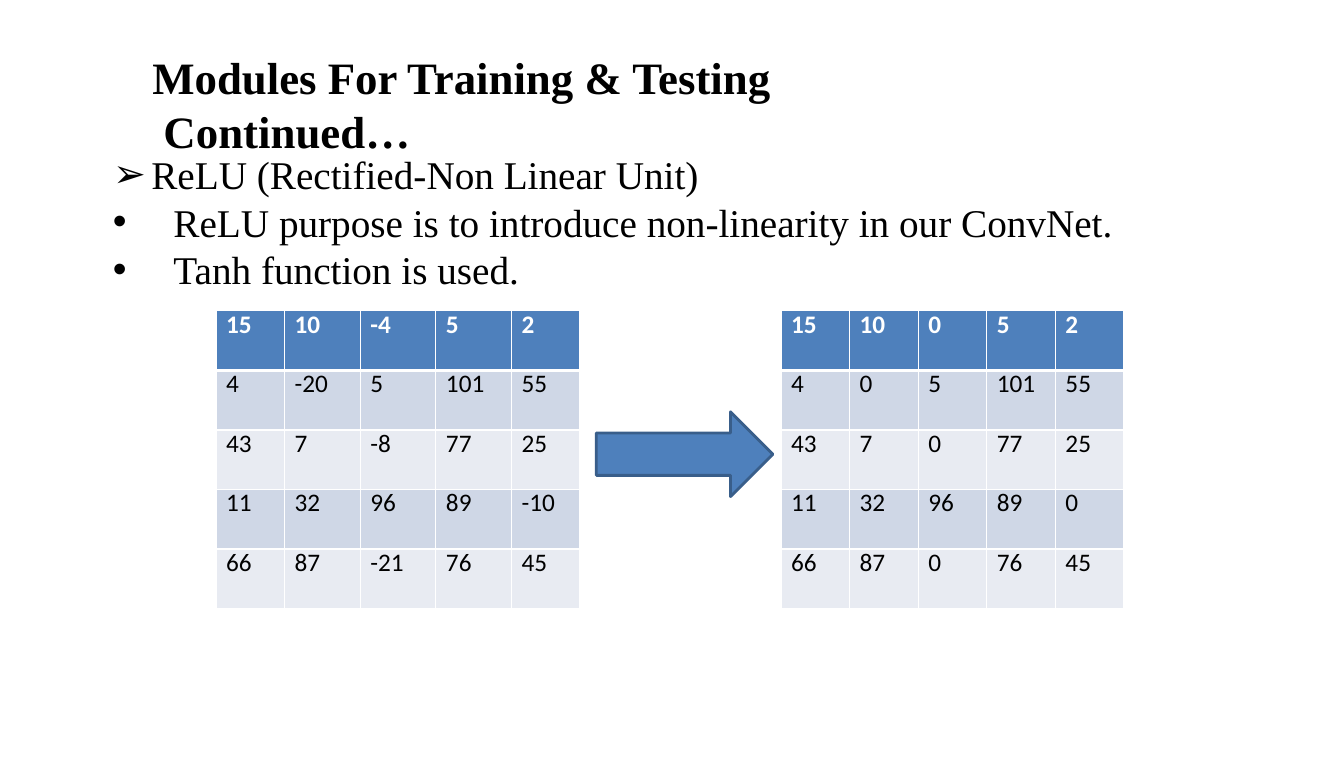
"""Build the ReLU slide: headings, two matrices and the arrow between them."""
from dataclasses import dataclass

from pptx import Presentation
from pptx import util as u
from pptx.dml.color import RGBColor
from pptx.enum import shapes
from pptx.oxml import parse_xml
from pptx.oxml.ns import nsdecls

BLACK, WHITE, BLUE, NAVY = "000000", "FFFFFF", "4E80BC", "395E8A"
BANDS = ["CFD7E6", "E8EBF2"]
SERIF = "Times New Roman"
ROW_HEIGHT = 0.59


@dataclass
class Line:
    text: str
    left: float = 0.0
    hanging: float = 0.0
    bullet: str = ""


@dataclass
class TextBlock:
    left: float
    top: float
    width: float
    height: float
    size: int
    lines: list[Line]
    bold: bool = False


@dataclass
class Matrix:
    left: float
    top: float
    widths: list[float]
    rows: list[list[int]]


TEXTS = [
    TextBlock(1.5, 0.48, 6.15, 1.09, 32, [
        Line("Modules For Training & Testing", 0.01),
        Line("Continued…", 0.12)], bold=True),
    TextBlock(1.11, 1.48, 5.82, 0.49, 28, [
        Line("ReLU (Rectified-Non Linear Unit)", 0.39, 0.38, "➢")]),
    TextBlock(1.11, 1.95, 9.94, 0.96, 28, [
        Line("ReLU purpose is to introduce non-linearity in our ConvNet.", 0.61, 0.6, "•"),
        Line("Tanh function is used.", 0.61, 0.6, "•")]),
]

INPUT_ROWS = [
    [15, 10, -4, 5, 2],
    [4, -20, 5, 101, 55],
    [43, 7, -8, 77, 25],
    [11, 32, 96, 89, -10],
    [66, 87, -21, 76, 45],
]
RELU_ROWS = [[max(0, value) for value in row] for row in INPUT_ROWS]

MATRICES = [
    Matrix(2.14, 3.08, [0.68, 0.75, 0.75, 0.75, 0.67], INPUT_ROWS),
    Matrix(7.74, 3.08, [0.68] * 5, RELU_ROWS),
]


def rgb(color: str) -> RGBColor:
    return RGBColor.from_string(color)


def style_run(r, font: str, size: int, color: str, bold: bool) -> None:
    r.font.name = font
    r.font.size = u.Pt(size)
    r.font.bold = bold
    r.font.color.rgb = rgb(color)


def indent(p, line: Line) -> None:
    pPr = p._p.get_or_add_pPr()
    pPr.set("marL", str(u.Inches(line.left)))
    pPr.set("indent", str(-u.Inches(line.hanging)))
    if line.bullet:
        pPr.append(parse_xml(f'<a:buFont {nsdecls("a")} typeface="Arial"/>'))
        pPr.append(parse_xml(f'<a:buChar {nsdecls("a")} char="{line.bullet}"/>'))


def add_text(s, block: TextBlock) -> None:
    sp = s.shapes.add_textbox(u.Inches(block.left), u.Inches(block.top),
                              u.Inches(block.width), u.Inches(block.height))
    tf = sp.text_frame
    tf.word_wrap = True
    tf.margin_left = tf.margin_right = tf.margin_bottom = 0
    tf.margin_top = u.Inches(0.01)
    tf.text = "\n".join(line.text for line in block.lines)
    tf.paragraphs[0].space_before = u.Pt(1)
    for p, line in zip(tf.paragraphs, block.lines):
        indent(p, line)
        style_run(p.runs[0], SERIF, block.size, BLACK, block.bold)


def add_borders(cell, row: int) -> None:
    tcPr = cell._tc.get_or_add_tcPr()
    widths = {"lnL": 1, "lnR": 1, "lnT": 3 if row == 1 else 1, "lnB": 3 if row == 0 else 1}
    for i, (side, width) in enumerate(widths.items()):
        tcPr.insert(i, parse_xml(
            f'<a:{side} {nsdecls("a")} w="{u.Pt(width)}"><a:solidFill>'
            f'<a:srgbClr val="{WHITE}"/></a:solidFill></a:{side}>'))


def add_matrix(s, matrix: Matrix) -> None:
    count = len(matrix.rows)
    table = s.shapes.add_table(
        count, len(matrix.widths), u.Inches(matrix.left), u.Inches(matrix.top),
        u.Inches(sum(matrix.widths)), u.Inches(ROW_HEIGHT * count)).table
    for column, width in zip(table.columns, matrix.widths):
        column.width = u.Inches(width)
    for i, values in enumerate(matrix.rows):
        table.rows[i].height = u.Inches(ROW_HEIGHT)
        header = i == 0
        for j, value in enumerate(values):
            cell = table.cell(i, j)
            cell.margin_left = u.Inches(0.1)
            cell.margin_right = cell.margin_top = cell.margin_bottom = 0
            cell.fill.solid()
            cell.fill.fore_color.rgb = rgb(BLUE if header else BANDS[(i - 1) % 2])
            add_borders(cell, i)
            cell.text_frame.text = str(value)
            p = cell.text_frame.paragraphs[0]
            p.line_spacing = u.Pt(20.6)
            style_run(p.runs[0], "Calibri", 18, WHITE if header else BLACK, header)


def add_arrow(s) -> None:
    sp = s.shapes.add_shape(shapes.MSO_SHAPE.RIGHT_ARROW, u.Inches(5.91),
                            u.Inches(4.08), u.Inches(1.75), u.Inches(0.84))
    sp.shadow.inherit = False
    sp.fill.solid()
    sp.fill.fore_color.rgb = rgb(BLUE)
    sp.line.color.rgb = rgb(NAVY)
    sp.line.width = u.Pt(2)


def main() -> None:
    prs = Presentation()
    prs.slide_width, prs.slide_height = u.Inches(13.32), u.Inches(7.5)
    s = prs.slides.add_slide(prs.slide_layouts[6])
    for block in TEXTS:
        add_text(s, block)
    for matrix in MATRICES:
        add_matrix(s, matrix)
    add_arrow(s)
    prs.save("out.pptx")


if __name__ == "__main__":
    main()
